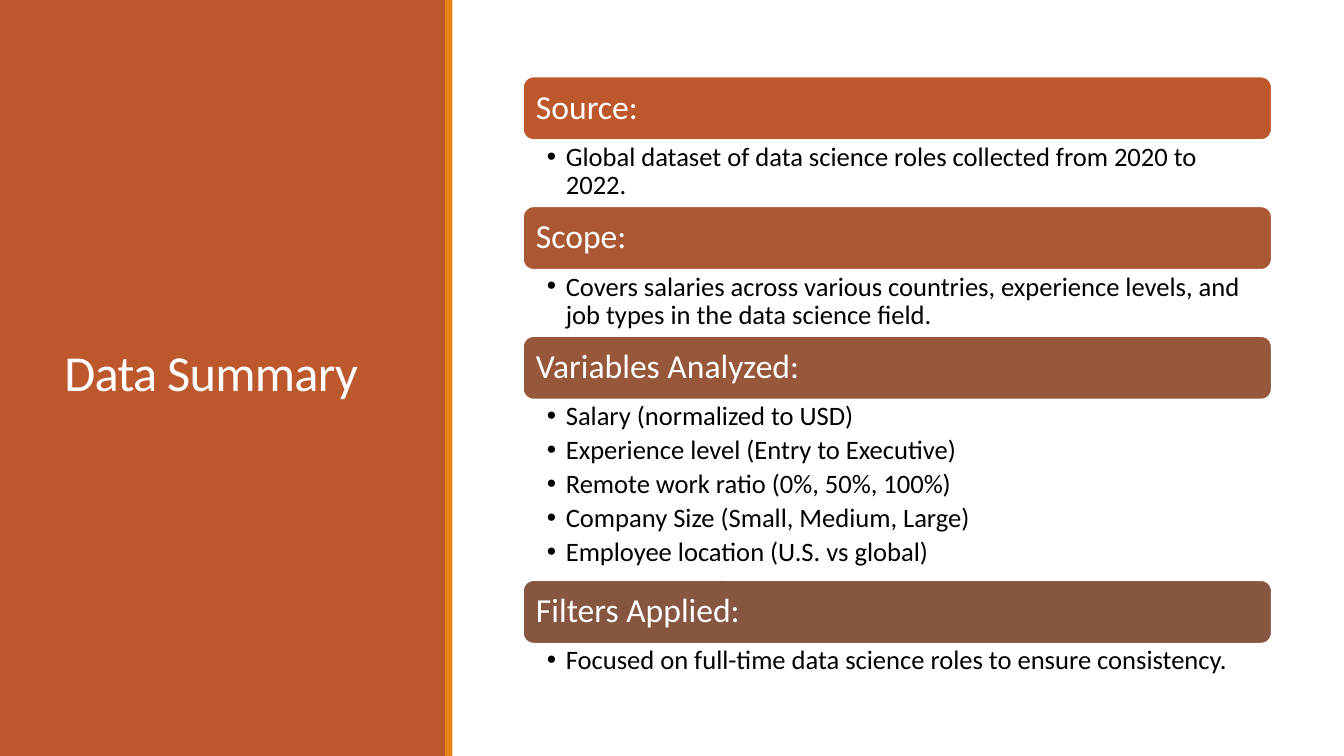
from lxml import etree
from pptx import Presentation
from pptx.dml.color import RGBColor
from pptx.enum.shapes import MSO_SHAPE
from pptx.enum.text import MSO_ANCHOR, MSO_AUTO_SIZE, PP_ALIGN
from pptx.oxml.ns import qn
from pptx.util import Cm, Pt

RECTANGLE = MSO_SHAPE.RECTANGLE
ROUNDED = MSO_SHAPE.ROUNDED_RECTANGLE
TOP, MIDDLE = MSO_ANCHOR.TOP, MSO_ANCHOR.MIDDLE
LEFT = PP_ALIGN.LEFT
NO_AUTOFIT = MSO_AUTO_SIZE.NONE
COMPARISON_LAYOUT = 4

COLORS = {
    "panel": "BD582C",
    "stripe": "E48312",
    "white": "FFFFFF",
    "black": "000000",
    "source": "BD582C",
    "scope": "AA5834",
    "variables": "97573A",
    "filters": "865640",
}

SECTIONS = [
    ("Source:", "source", 1.67,
     ["Global dataset of data science roles collected from 2020 to 2022."]),
    ("Scope:", "scope", 1.67,
     ["Covers salaries across various countries, experience levels, "
      "and job types in the data science field."]),
    ("Variables Analyzed:", "variables", 4.55,
     ["Salary (normalized to USD)",
      "Experience level (Entry to Executive)",
      "Remote work ratio (0%, 50%, 100%)",
      "Company Size (Small, Medium, Large)",
      "Employee location (U.S. vs global)"]),
    ("Filters Applied:", "filters", 1.09,
     ["Focused on full-time data science roles to ensure consistency."]),
]
SECTION_LEFT, SECTION_WIDTH = 13.18, 18.87
FIRST_TOP, HEADING_HEIGHT = 1.93, 1.6


class SlideBuilder:
    font_name = "Calibri"

    def __init__(self, slide):
        self.slide = slide

    def color(self, name):
        return RGBColor.from_string(COLORS[name])

    def box(self, kind, left, top, width, height, fill, outline=None):
        shape = self.slide.shapes.add_shape(
            kind, Cm(left), Cm(top), Cm(width), Cm(height))
        shape.shadow.inherit = False
        shape.fill.solid()
        shape.fill.fore_color.rgb = self.color(fill)
        if outline:
            shape.line.color.rgb = self.color(outline)
            shape.line.width = Pt(1.25)
        else:
            shape.line.fill.background()
        return shape

    def place(self, shape, left, top, width, height):
        shape.left, shape.top = Cm(left), Cm(top)
        shape.width, shape.height = Cm(width), Cm(height)
        shape.element.getparent().append(shape.element)

    def frame(self, shape, anchor, left, top, right, bottom):
        frame = shape.text_frame
        frame.word_wrap = True
        frame.auto_size = NO_AUTOFIT
        frame.vertical_anchor = anchor
        frame.margin_left, frame.margin_top = Cm(left), Cm(top)
        frame.margin_right, frame.margin_bottom = Cm(right), Cm(bottom)
        return frame

    def add_text(self, paragraph, text, size, color, line_spacing=0.9, after=0):
        paragraph.alignment = LEFT
        paragraph.line_spacing = line_spacing
        paragraph.space_before = Pt(0)
        paragraph.space_after = Pt(after)
        run = paragraph.add_run()
        run.text = text
        run.font.name = self.font_name
        run.font.size = Pt(size)
        run.font.bold = False
        run.font.color.rgb = self.color(color)
        return run

    def title(self, text, left, top, width, height):
        shape = self.slide.shapes.title
        self.place(shape, left, top, width, height)
        frame = self.frame(shape, MIDDLE, 0.25, 0.13, 0.25, 0.13)
        run = self.add_text(frame.paragraphs[0], text, 36, "white", 0.85)
        run._r.get_or_add_rPr().set("spc", "-50")

    def heading(self, text, fill, left, top, width, height):
        shape = self.box(ROUNDED, left, top, width, height, fill, "white")
        frame = self.frame(shape, MIDDLE, 0.25, 0.25, 0.25, 0.25)
        self.add_text(frame.paragraphs[0], text, 24, "white")

    def bullet_list(self, shape, items, left, top, width, height):
        self.place(shape, left, top, width, height)
        frame = self.frame(shape, TOP, 0.6, 0.08, 0.48, 0.08)
        for index, item in enumerate(items):
            paragraph = frame.add_paragraph() if index else frame.paragraphs[0]
            self.add_text(paragraph, item, 19, "black", after=3.8)
            properties = paragraph._p.get_or_add_pPr()
            properties.set("marL", str(Cm(0.48)))
            properties.set("indent", str(-Cm(0.48)))
            etree.SubElement(properties, qn("a:buFont"), typeface="Arial")
            etree.SubElement(properties, qn("a:buChar"), char="•")


def main():
    presentation = Presentation()
    presentation.slide_width, presentation.slide_height = Cm(33.87), Cm(19.05)
    slide = presentation.slides.add_slide(
        presentation.slide_layouts[COMPARISON_LAYOUT])
    title, *bodies = list(slide.placeholders)

    builder = SlideBuilder(slide)
    builder.box(RECTANGLE, 0, 0, 11.25, 19.05, "panel")
    builder.title("Data Summary", 1.37, 1.45, 8.56, 16.03)
    builder.box(RECTANGLE, 11.22, 0, 0.18, 19.05, "stripe")

    top = FIRST_TOP
    for body, (heading, fill, list_height, items) in zip(bodies, SECTIONS):
        builder.heading(heading, fill, SECTION_LEFT, top,
                        SECTION_WIDTH, HEADING_HEIGHT)
        top += HEADING_HEIGHT
        builder.bullet_list(body, items, SECTION_LEFT, top,
                            SECTION_WIDTH, list_height)
        top += list_height

    presentation.save("out.pptx")


if __name__ == "__main__":
    main()
